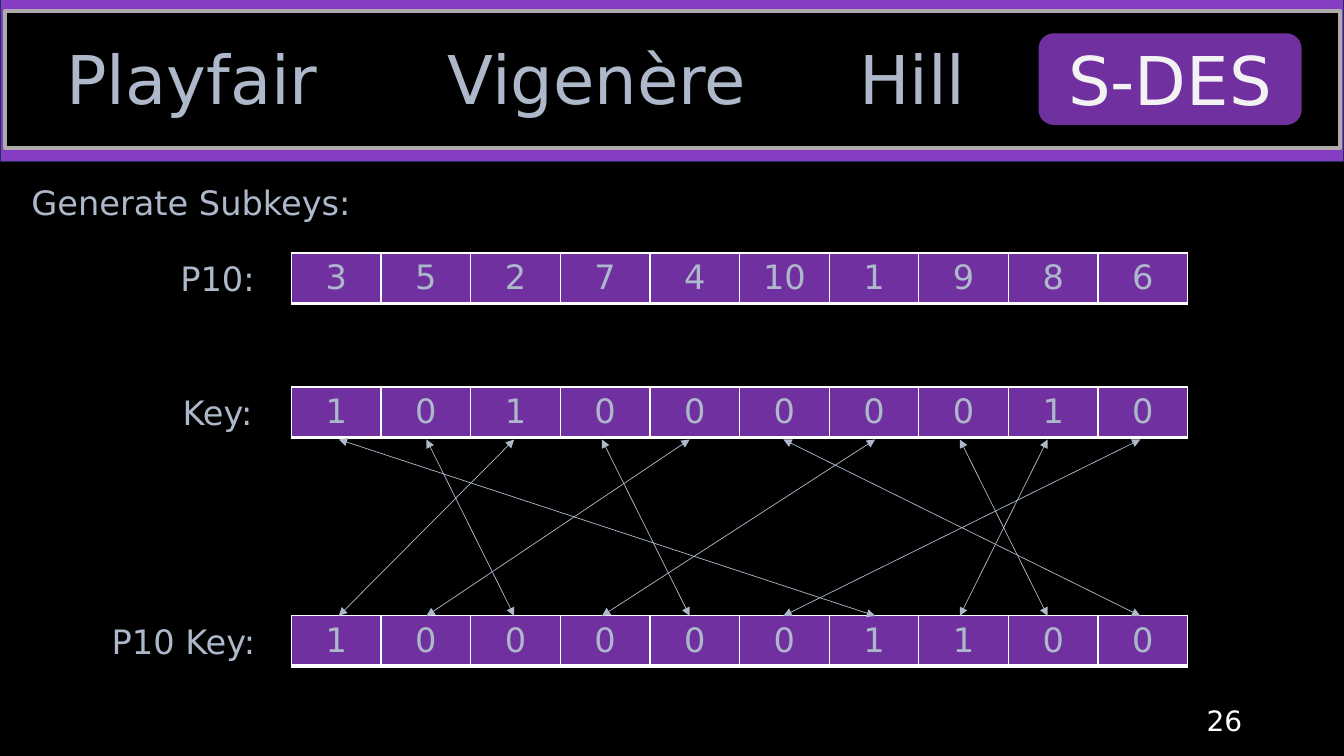
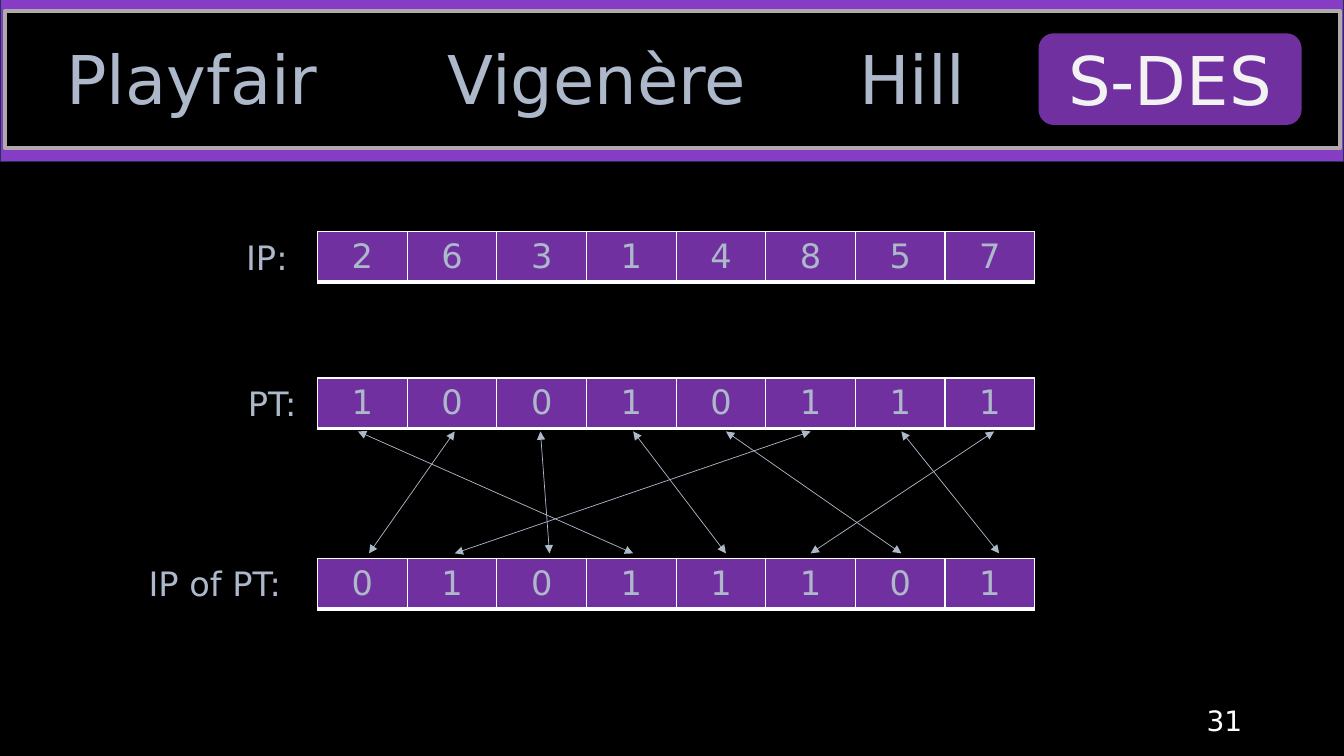
from dataclasses import dataclass

from lxml import etree
from pptx import Presentation
from pptx.dml.color import RGBColor
from pptx.enum.shapes import MSO_CONNECTOR, MSO_SHAPE
from pptx.enum.text import MSO_ANCHOR, MSO_AUTO_SIZE, PP_ALIGN
from pptx.oxml import parse_xml
from pptx.oxml.ns import nsdecls, qn
from pptx.util import Inches, Pt

STRAIGHT = MSO_CONNECTOR.STRAIGHT
RECTANGLE = MSO_SHAPE.RECTANGLE
ROUNDED = MSO_SHAPE.ROUNDED_RECTANGLE
TOP, MIDDLE = MSO_ANCHOR.TOP, MSO_ANCHOR.MIDDLE
GROW = MSO_AUTO_SIZE.SHAPE_TO_FIT_TEXT
CENTER, RIGHT = PP_ALIGN.CENTER, PP_ALIGN.RIGHT


@dataclass(frozen=True)
class Theme:
    font: str = "DejaVu Sans"
    background: str = "000000"
    band: str = "863CC4"
    band_line: str = "1E3256"
    frame_line: str = "AFABAB"
    accent: str = "7030A0"
    text: str = "ADB9CA"
    active_text: str = "F2F2F2"
    white: str = "FFFFFF"
    tab_size: int = 48
    body_size: int = 24
    number_size: int = 20
    arrow_width: float = 0.5


THEME = Theme()
COLUMN_WIDTH = 8.89 / 10
ROW_HEIGHT = 0.5
TAB_TOP, TAB_HEIGHT = 0.32, 0.91
TABS = (("Playfair", 0.24, 3.33), ("Vigenère", 4.05, 3.74), ("Hill", 8.27, 1.56))
ACTIVE_TAB = ("S-DES", 10.3, 2.61)
CELL_BORDERS = (("lnL", 1), ("lnR", 1), ("lnT", 1), ("lnB", 3))


@dataclass(frozen=True)
class Label:
    text: str
    left: float
    width: float


@dataclass(frozen=True)
class PermutationDiagram:
    number: int
    left: float
    labels: tuple
    row_tops: tuple
    permutation: tuple
    bits: str
    arrow_tops: tuple
    upper_anchors: tuple
    lower_anchors: tuple


KEY_ANCHORS = (3.36, 4.23, 5.1, 5.97, 6.84, 7.77, 8.68, 9.52, 10.39, 11.31)

KEY_DIAGRAM = PermutationDiagram(
    number=26,
    left=2.89,
    labels=(Label("P10: ", 1.64, 1.14), Label("Key: ", 1.64, 1.14),
            Label("P10 Key:", 0.74, 2.16)),
    row_tops=(2.51, 3.84, 6.11),
    permutation=(3, 5, 2, 7, 4, 10, 1, 9, 8, 6),
    bits="1010000010",
    arrow_tops=(4.36, 6.11),
    upper_anchors=KEY_ANCHORS,
    lower_anchors=KEY_ANCHORS,
)

PLAINTEXT_DIAGRAM = PermutationDiagram(
    number=31,
    left=3.15,
    labels=(Label("IP: ", 2.13, 1.14), Label("PT:", 2.13, 1.14),
            Label("IP of PT:", 1.05, 2.16)),
    row_tops=(2.3, 3.75, 5.54),
    permutation=(2, 6, 3, 1, 4, 8, 5, 7),
    bits="10010111",
    arrow_tops=(4.28, 5.49),
    upper_anchors=(3.55, 4.51, 5.36, 6.28, 7.2, 8.04, 8.94, 9.86),
    lower_anchors=(3.66, 4.51, 5.45, 6.28, 7.2, 8.04, 8.94, 9.91),
)


def color(value):
    return RGBColor.from_string(value)


def write_text(text_frame, text, size=THEME.body_size, text_color=THEME.text,
               align=CENTER, anchor=TOP):
    text_frame.word_wrap = True
    text_frame.vertical_anchor = anchor
    paragraph = text_frame.paragraphs[0]
    paragraph.alignment = align
    run = paragraph.add_run()
    run.text = text
    run.font.name = THEME.font
    run.font.size = Pt(size)
    run.font.color.rgb = color(text_color)


def add_text(slide, text, left, top, width, height, grow=True, **text_format):
    shape = slide.shapes.add_textbox(Inches(left), Inches(top), Inches(width), Inches(height))
    write_text(shape.text_frame, text, **text_format)
    if grow:
        shape.text_frame.auto_size = GROW


def add_panel(slide, kind, left, top, width, height, fill, line=None, line_width=1):
    shape = slide.shapes.add_shape(kind, Inches(left), Inches(top), Inches(width), Inches(height))
    shape.shadow.inherit = False
    shape.fill.solid()
    shape.fill.fore_color.rgb = color(fill)
    if line:
        shape.line.color.rgb = color(line)
        shape.line.width = Pt(line_width)
    else:
        shape.line.fill.background()
    return shape


def add_header(slide):
    add_panel(slide, RECTANGLE, 0, -0.02, 13.33, 1.62, THEME.band, THEME.band_line)
    add_panel(slide, RECTANGLE, 0.05, 0.11, 13.24, 1.36, THEME.background, THEME.frame_line, 3)
    for text, left, width in TABS:
        add_text(slide, text, left, TAB_TOP, width, TAB_HEIGHT, size=THEME.tab_size)
    text, left, width = ACTIVE_TAB
    active = add_panel(slide, ROUNDED, left, 0.33, width, TAB_HEIGHT, THEME.accent)
    write_text(active.text_frame, text, size=THEME.tab_size,
               text_color=THEME.active_text, anchor=MIDDLE)


def style_cell(cell):
    properties = cell._tc.get_or_add_tcPr()
    for tag, width in CELL_BORDERS:
        properties.append(parse_xml(
            f'<a:{tag} {nsdecls("a")} w="{Pt(width)}"><a:solidFill>'
            f'<a:srgbClr val="{THEME.white}"/></a:solidFill></a:{tag}>'))
    cell.fill.solid()
    cell.fill.fore_color.rgb = color(THEME.accent)
    cell.margin_top = cell.margin_bottom = Inches(0.05)
    cell.vertical_anchor = MIDDLE


def add_row_table(slide, values, left, top):
    frame = slide.shapes.add_table(1, len(values), Inches(left), Inches(top),
                                   Inches(COLUMN_WIDTH * len(values)), Inches(ROW_HEIGHT))
    table = frame.table
    table.first_row = table.horz_banding = False
    for column, value in zip(table.columns, values):
        column.width = Inches(COLUMN_WIDTH)
    for cell, value in zip(table.iter_cells(), values):
        style_cell(cell)
        write_text(cell.text_frame, str(value), anchor=MIDDLE)


def add_double_arrow(slide, start, end):
    connector = slide.shapes.add_connector(STRAIGHT, *map(Inches, (*start, *end)))
    connector.line.color.rgb = color(THEME.text)
    connector.line.width = Pt(THEME.arrow_width)
    line = connector.line._get_or_add_ln()
    for tag in ("a:headEnd", "a:tailEnd"):
        etree.SubElement(line, qn(tag), type="triangle")
    etree.SubElement(connector._element.spPr, qn("a:effectLst"))


def add_permutation(slide, diagram):
    permuted = [diagram.bits[source - 1] for source in diagram.permutation]
    rows = (diagram.permutation, diagram.bits, permuted)
    for label, top, values in zip(diagram.labels, diagram.row_tops, rows):
        add_text(slide, label.text, label.left, top, label.width, ROW_HEIGHT)
        add_row_table(slide, values, diagram.left, top)
    upper_top, lower_top = diagram.arrow_tops
    for source, target_left in zip(diagram.permutation, diagram.lower_anchors):
        add_double_arrow(slide, (diagram.upper_anchors[source - 1], upper_top),
                         (target_left, lower_top))


def add_diagram_slide(presentation, diagram):
    slide = presentation.slides.add_slide(presentation.slide_layouts[6])
    add_header(slide)
    add_permutation(slide, diagram)
    add_text(slide, str(diagram.number), 9.42, 6.95, 3, 0.4, grow=False,
             size=THEME.number_size, text_color=THEME.white, align=RIGHT, anchor=MIDDLE)
    return slide


def main():
    presentation = Presentation()
    presentation.slide_width = Inches(13.33)
    presentation.slide_height = Inches(7.5)
    background = presentation.slide_master.background.fill
    background.solid()
    background.fore_color.rgb = color(THEME.background)

    key_slide = add_diagram_slide(presentation, KEY_DIAGRAM)
    add_text(key_slide, "Generate Subkeys:", 0.1, 1.76, 3.59, 0.5)
    add_diagram_slide(presentation, PLAINTEXT_DIAGRAM)
    presentation.save("out.pptx")


if __name__ == "__main__":
    main()
